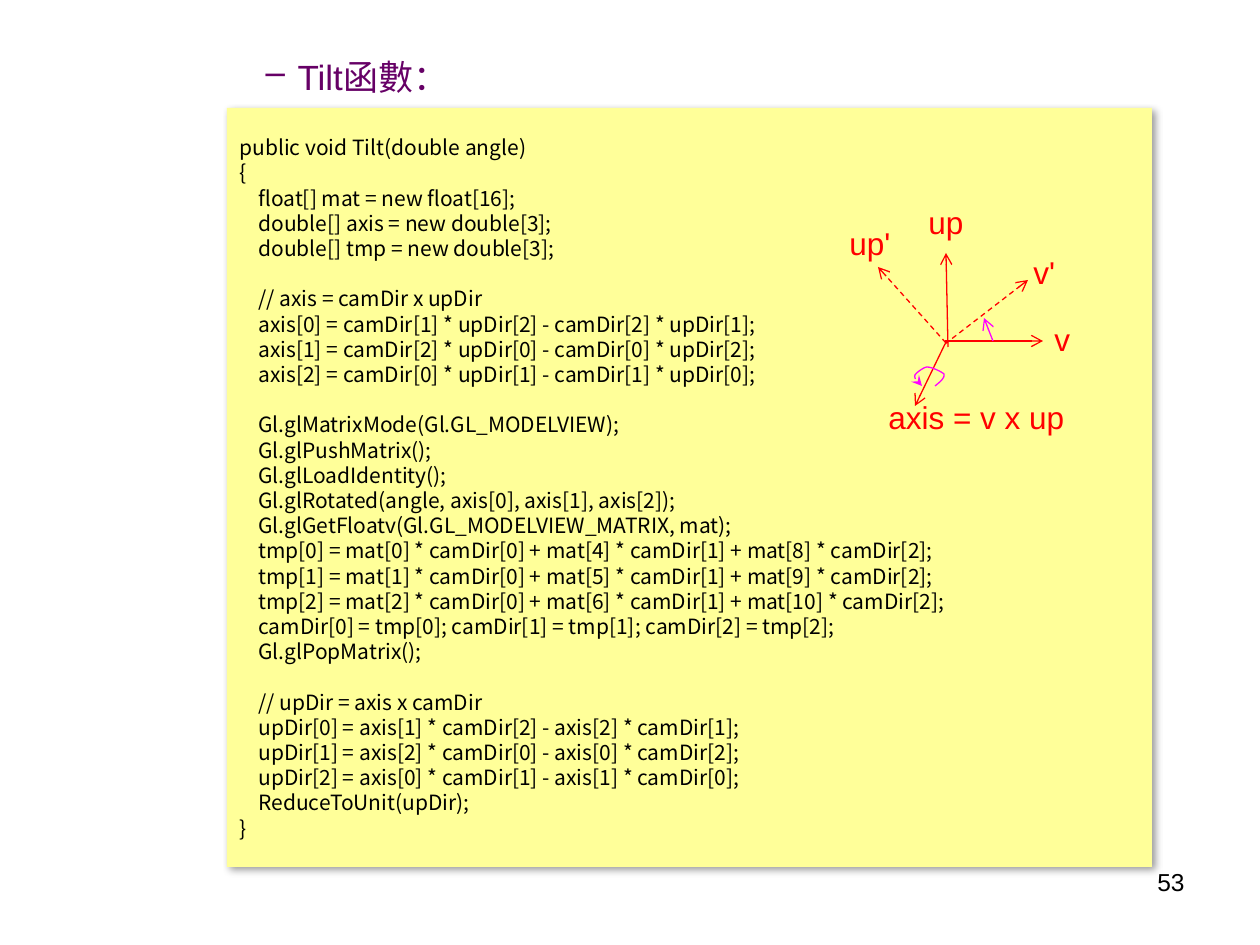
import pptx
import pptx.util
import pptx.dml.color
import pptx.enum.dml
import pptx.enum.shapes
import pptx.enum.text
import pptx.oxml
import pptx.oxml.ns

PX = 914400 / 126
RED, MAGENTA = "FF0000", "FF00FF"
ALIGN = pptx.enum.text.PP_ALIGN
ANCHOR = pptx.enum.text.MSO_ANCHOR

FLUSH_LINES = ("public void Tilt(double angle)", "{", "}")
CODE_BLOCKS = [
    [
        "public void Tilt(double angle)",
        "{",
        "float[] mat = new float[16];",
        "double[] axis = new double[3];",
        "double[] tmp = new double[3];",
    ],
    [
        "// axis = camDir x upDir",
        "axis[0] = camDir[1] * upDir[2] - camDir[2] * upDir[1];",
        "axis[1] = camDir[2] * upDir[0] - camDir[0] * upDir[2];",
        "axis[2] = camDir[0] * upDir[1] - camDir[1] * upDir[0];",
    ],
    [
        "Gl.glMatrixMode(Gl.GL_MODELVIEW);",
        "Gl.glPushMatrix();",
        "Gl.glLoadIdentity();",
        "Gl.glRotated(angle, axis[0], axis[1], axis[2]);",
        "Gl.glGetFloatv(Gl.GL_MODELVIEW_MATRIX, mat);",
        "tmp[0] = mat[0] * camDir[0] + mat[4] * camDir[1] + mat[8] * camDir[2];",
        "tmp[1] = mat[1] * camDir[0] + mat[5] * camDir[1] + mat[9] * camDir[2];",
        "tmp[2] = mat[2] * camDir[0] + mat[6] * camDir[1] + mat[10] * camDir[2];",
        "camDir[0] = tmp[0]; camDir[1] = tmp[1]; camDir[2] = tmp[2];",
        "Gl.glPopMatrix();",
    ],
    [
        "// upDir = axis x camDir",
        "upDir[0] = axis[1] * camDir[2] - axis[2] * camDir[1];",
        "upDir[1] = axis[2] * camDir[0] - axis[0] * camDir[2];",
        "upDir[2] = axis[0] * camDir[1] - axis[1] * camDir[0];",
        "ReduceToUnit(upDir);",
        "}",
    ],
]


def emu(*lengths):
    return [pptx.util.Emu(round(n * PX)) for n in lengths]


def rgb(color):
    return pptx.dml.color.RGBColor.from_string(color)


def add_xml(parent, tag, attrs="", inner=""):
    ns = pptx.oxml.ns.nsdecls("a")
    xml = f"<a:{tag} {ns} {attrs}>{inner}</a:{tag}>"
    parent.append(pptx.oxml.parse_xml(xml))


def write(p, text, size=18, color="000000", font="Arial", align=ALIGN.LEFT,
          spacing=None, before=0, margin=0, hang=0):
    p.alignment = align
    p.line_spacing = spacing
    p.space_before = pptx.util.Pt(before)
    left, indent = emu(margin, -hang)
    pPr = p._p.get_or_add_pPr()
    pPr.set("marL", str(int(left)))
    pPr.set("indent", str(int(indent)))
    r = p.add_run()
    r.text = text
    r.font.size = pptx.util.Pt(size)
    r.font.name = font
    r.font.color.rgb = rgb(color)


def add_label(s, box, text, **fmt):
    tf = s.shapes.add_textbox(*emu(*box)).text_frame
    tf.word_wrap = True
    write(tf.paragraphs[0], text, **fmt)


def style_line(sp, color, head="arrow", dashed=False):
    sp.line.color.rgb = rgb(color)
    sp.line.width = pptx.util.Pt(0.75)
    if dashed:
        sp.line.dash_style = pptx.enum.dml.MSO_LINE.DASH
    add_xml(sp.line._get_or_add_ln(), "tailEnd", f'type="{head}"')


def add_arrow(s, start, end, color, dashed=False):
    straight = pptx.enum.shapes.MSO_CONNECTOR.STRAIGHT
    sp = s.shapes.add_connector(straight, *emu(*start, *end))
    style_line(sp, color, dashed=dashed)
    add_xml(sp._element.spPr, "effectLst")


def bezier(points, steps=8):
    curve = [points[0]]
    for i in range(0, len(points) - 1, 3):
        a, b, c, d = points[i:i + 4]
        for k in range(1, steps + 1):
            t = k / steps
            u = 1 - t
            curve.append(tuple(
                u**3 * a[n] + 3 * u * u * t * b[n] + 3 * u * t * t * c[n] + t**3 * d[n]
                for n in (0, 1)))
    return curve


def add_heading(s, box):
    sp = s.shapes.title
    sp.left, sp.top, sp.width, sp.height = emu(*box)
    tf = sp.text_frame
    tf.auto_size = pptx.enum.text.MSO_AUTO_SIZE.NONE
    tf.vertical_anchor = ANCHOR.TOP
    p = tf.paragraphs[0]
    write(p, "Tilt函數：", size=20, color="660066", margin=221, hang=32)
    add_xml(p._p.get_or_add_pPr(), "buChar", 'char="–"')


def add_code(s, box):
    sp = s.shapes.add_shape(pptx.enum.shapes.MSO_SHAPE.RECTANGLE, *emu(*box))
    sp.fill.solid()
    sp.fill.fore_color.rgb = rgb("FFFF99")
    sp.line.fill.background()
    add_xml(sp._element.spPr, "effectLst", inner=(
        '<a:outerShdw blurRad="50800" dist="38100" dir="2700000" algn="tl" rotWithShape="0">'
        '<a:srgbClr val="000000"><a:alpha val="40000"/></a:srgbClr></a:outerShdw>'))
    tf = sp.text_frame
    tf.word_wrap = True
    tf.vertical_anchor = ANCHOR.MIDDLE
    pitch = 14.4
    p = tf.paragraphs[0]
    for b, block in enumerate(CODE_BLOCKS):
        for i, line in enumerate(block):
            if b or i:
                p = tf.add_paragraph()
            write(p, line, size=12, font="Noto Sans CJK KR",
                  spacing=pptx.util.Pt(pitch),
                  before=pitch if b and i == 0 else 0,
                  margin=0 if line in FLUSH_LINES else 19)


def add_axes(s, box):
    x, y = box[:2]

    def at(point):
        return x + point[0], y + point[1]

    for start, end, color, dashed in [
        ((108, 144), (206, 144), RED, False),
        ((108, 147), (78, 209), RED, False),
        ((111, 150), (109, 56), RED, False),
        ((108, 147), (191, 83), RED, True),
        ((109, 146), (41, 70), RED, True),
        ((156, 144), (147, 121), MAGENTA, False),
    ]:
        add_arrow(s, at(start), at(end), color, dashed)

    for text, point, width in [
        ("v", (205, 117), 49),
        ("axis = v x up", (39, 195), 207),
        ("up", (79, 0), 79),
        ("v'", (184, 50), 49),
        ("up'", (0, 21), 79),
    ]:
        add_label(s, (*at(point), width, 50), text, color=RED)

    turn = bezier([(98, 189), (103, 185), (108, 181), (107, 177), (105, 175),
                   (95, 170), (90, 170), (87, 170), (79, 176), (78, 178),
                   (77, 182), (80, 185), (85, 189)])
    points = [emu(*at(point)) for point in turn]
    builder = s.shapes.build_freeform(*points[0])
    builder.add_line_segments(points[1:], close=False)
    sp = builder.convert_to_shape()
    sp.fill.background()
    sp.shadow.inherit = False
    style_line(sp, MAGENTA, head="stealth")


def main():
    prs = pptx.Presentation()
    prs.slide_width, prs.slide_height = emu(1260, 945)
    s = prs.slides.add_slide(prs.slide_layouts[5])
    add_heading(s, (64, 49, 1134, 58))
    add_label(s, (903, 861, 294, 66), "53", size=14, align=ALIGN.RIGHT)
    add_code(s, (227, 108, 925, 759))
    add_axes(s, (837, 197, 254, 248))
    prs.save("out.pptx")


if __name__ == "__main__":
    main()
